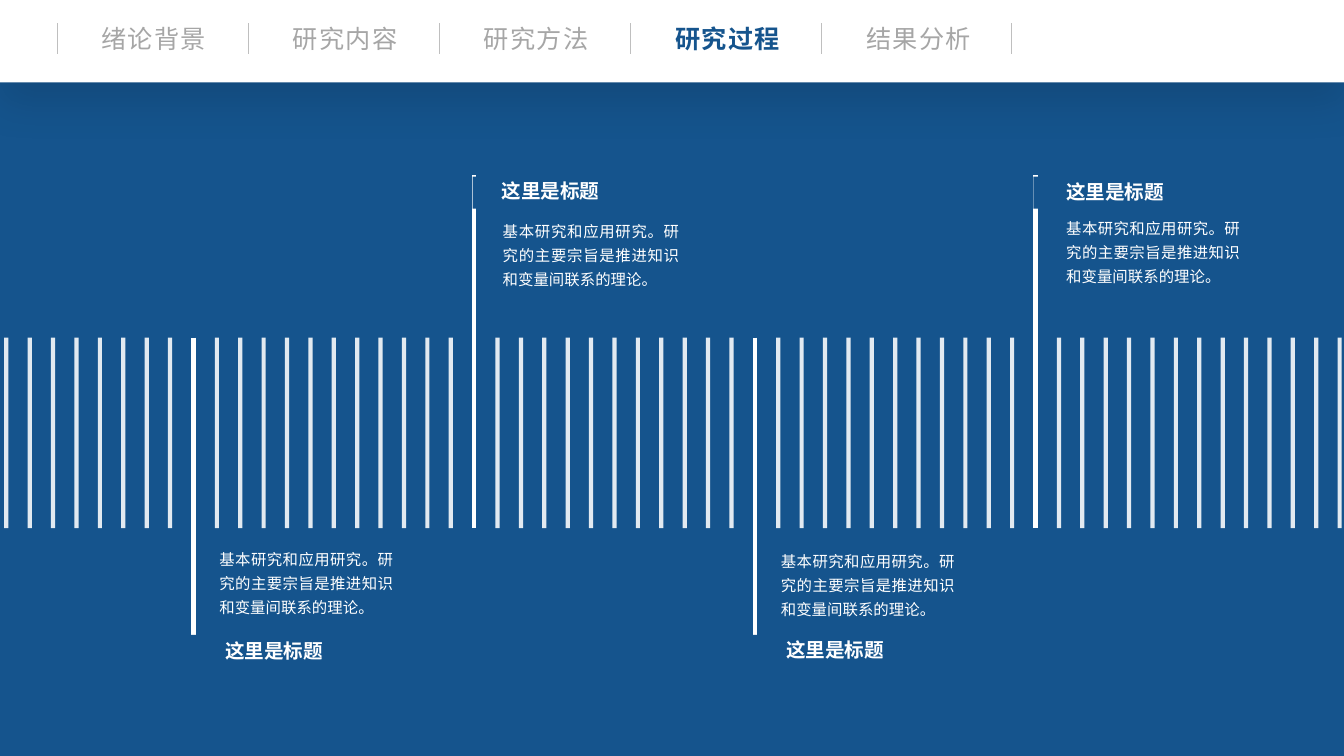
import dataclasses

import pptx
import pptx.dml.color
import pptx.enum.shapes
import pptx.enum.text
import pptx.oxml
import pptx.oxml.ns
import pptx.shapes.autoshape
import pptx.shapes.connector
import pptx.util

Cm = pptx.util.Cm
Pt = pptx.util.Pt
Align = pptx.enum.text.PP_ALIGN
Anchor = pptx.enum.text.MSO_ANCHOR
Fit = pptx.enum.text.MSO_AUTO_SIZE
qn = pptx.oxml.ns.qn

FONT = "Noto Sans CJK SC"
BLUE, WHITE, GREY, RULE = "15548D", "FFFFFF", "A6A6A6", "BFBFBF"
NS = 'xmlns:a="http://schemas.openxmlformats.org/drawingml/2006/main"'
WIDE, HIGH = 33.87, 19.05
HEAD = "这里是标题"
BODY = "基本研究和应用研究。研究的主要宗旨是推进知识和变量间联系的理论。"
TABS = ["绪论背景", "研究内容", "研究方法", "研究过程", "结果分析"]
ACTIVE = 3


@dataclasses.dataclass
class Box:
    left: float
    top: float
    width: float
    height: float

    def place(self) -> tuple:
        return Cm(self.left), Cm(self.top), Cm(self.width), Cm(self.height)


@dataclasses.dataclass
class Style:
    size: float
    colour: str
    bold: bool = False
    align: Align = Align.CENTER
    anchor: Anchor = Anchor.TOP
    wrap: bool = False
    space: float | None = None
    track: int = 0


@dataclasses.dataclass
class Note:
    mask: Box
    head: Box
    body: Box
    anchor: Anchor


def tint(hue: str) -> pptx.dml.color.RGBColor:
    return pptx.dml.color.RGBColor.from_string(hue)


def add_xml(parent, xml: str) -> None:
    parent.append(pptx.oxml.parse_xml(xml))


def write(shape, text: str, style: Style) -> None:
    frame = shape.text_frame
    frame.text = text
    frame.word_wrap = style.wrap
    frame.vertical_anchor = style.anchor
    frame.auto_size = Fit.NONE if style.anchor == Anchor.MIDDLE else Fit.SHAPE_TO_FIT_TEXT
    line = frame.paragraphs[0]
    line.alignment = style.align
    line.line_spacing = style.space
    font = line.runs[0].font
    font.name, font.size, font.bold = FONT, Pt(style.size), style.bold
    font.color.rgb = tint(style.colour)
    for props in shape.element.iter(qn("a:rPr")):
        props.set("spc", str(style.track))
        add_xml(props, f'<a:ea {NS} typeface="{FONT}"/>')


def add_text(slide, box: Box, text: str, style: Style) -> None:
    write(slide.shapes.add_textbox(*box.place()), text, style)


def add_rect(slide, box: Box, hue: str) -> pptx.shapes.autoshape.Shape:
    kind = pptx.enum.shapes.MSO_SHAPE.RECTANGLE
    rect = slide.shapes.add_shape(kind, *box.place())
    rect.shadow.inherit = False
    rect.fill.solid()
    rect.fill.fore_color.rgb = tint(hue)
    rect.line.fill.background()
    return rect


def add_bar(slide, x: float, top: float, foot: float, hue: str,
            width: float) -> pptx.shapes.connector.Connector:
    kind = pptx.enum.shapes.MSO_CONNECTOR.STRAIGHT
    bar = slide.shapes.add_connector(kind, Cm(x), Cm(top), Cm(x), Cm(foot))
    bar.line.color.rgb = tint(hue)
    bar.line.width = Pt(width)
    add_xml(bar.element.spPr, f"<a:effectLst {NS}/>")
    return bar


def add_band(slide) -> None:
    count, first, last = 58, 0.16, 33.76
    top, foot = 8.51, 13.31
    step = (last - first) / (count - 1)
    for i in range(count):
        # Every twelfth bar from the ninth is long, in turn down and up
        turn, rest = divmod(i - 8, 12)
        tall = rest == 0 and 0 <= turn < 4
        low = 16.81 if tall and turn % 2 == 0 else foot
        high = 4.42 if tall and turn % 2 == 1 else top
        bar = add_bar(slide, first + i * step, high, low, WHITE, 3)
        if not tall:
            for hue in bar.element.spPr.iter(qn("a:srgbClr")):
                add_xml(hue, f'<a:alpha {NS} val="87000"/>')


def add_note(slide, note: Note) -> None:
    add_rect(slide, note.mask, BLUE)
    add_text(slide, note.head, HEAD, Style(14, WHITE, True, anchor=note.anchor))
    add_text(slide, note.body, BODY,
             Style(11, WHITE, align=Align.JUSTIFY, wrap=True, space=1.3))


def add_menu(slide, title) -> None:
    panel = add_rect(slide, Box(0, -0.13, WIDE, 2.21), WHITE)
    for old in panel.element.spPr.findall(qn("a:effectLst")):
        panel.element.spPr.remove(old)
    add_xml(panel.element.spPr,
            f'<a:effectLst {NS}><a:outerShdw blurRad="{Pt(28)}" dist="{Pt(15)}" '
            'dir="5400000" algn="t" rotWithShape="0"><a:srgbClr val="000000">'
            '<a:alpha val="11000"/></a:srgbClr></a:outerShdw></a:effectLst>')
    for i in range(len(TABS) + 1):
        add_bar(slide, 1.45 + i * 4.81, 0.58, 1.37, RULE, 0.5)
    for i, tab in enumerate(TABS):
        box = Box(2.26 + i * 4.82, 0.46, 3.23, 1.02)
        if i == ACTIVE:
            title.left, title.top, title.width, title.height = box.place()
            write(title, tab, Style(18, BLUE, True, track=100))
            # Bring the title in front of the panel
            title.element.getparent().append(title.element)
        else:
            add_text(slide, box, tab, Style(18, GREY, track=100))


NOTES = [
    Note(Box(4.78, 16, 3.71, 0.81), Box(5.21, 15.9, 3.4, 0.97),
         Box(5.28, 13.61, 4.88, 2.03), Anchor.MIDDLE),
    Note(Box(11.91, 4.45, 3.71, 0.81), Box(12.34, 4.39, 3.07, 0.86),
         Box(12.42, 5.33, 4.95, 2.03), Anchor.TOP),
    Note(Box(18.92, 16, 3.71, 0.81), Box(19.35, 15.88, 3.4, 0.97),
         Box(19.43, 13.64, 4.88, 2.03), Anchor.MIDDLE),
    Note(Box(26.04, 4.45, 3.71, 0.81), Box(26.57, 4.42, 3.07, 0.86),
         Box(26.62, 5.26, 4.88, 2.03), Anchor.TOP),
]


def main() -> None:
    deck = pptx.Presentation()
    deck.slide_width, deck.slide_height = Cm(WIDE), Cm(HIGH)
    slide = deck.slides.add_slide(deck.slide_layouts.get_by_name("Title Only"))
    # Backdrop and bars
    add_rect(slide, Box(0, 0, WIDE, HIGH), BLUE)
    add_band(slide)
    # Notes on the long bars
    for note in NOTES:
        add_note(slide, note)
    # Top menu
    add_menu(slide, slide.shapes.title)
    deck.save("out.pptx")


if __name__ == "__main__":
    main()
